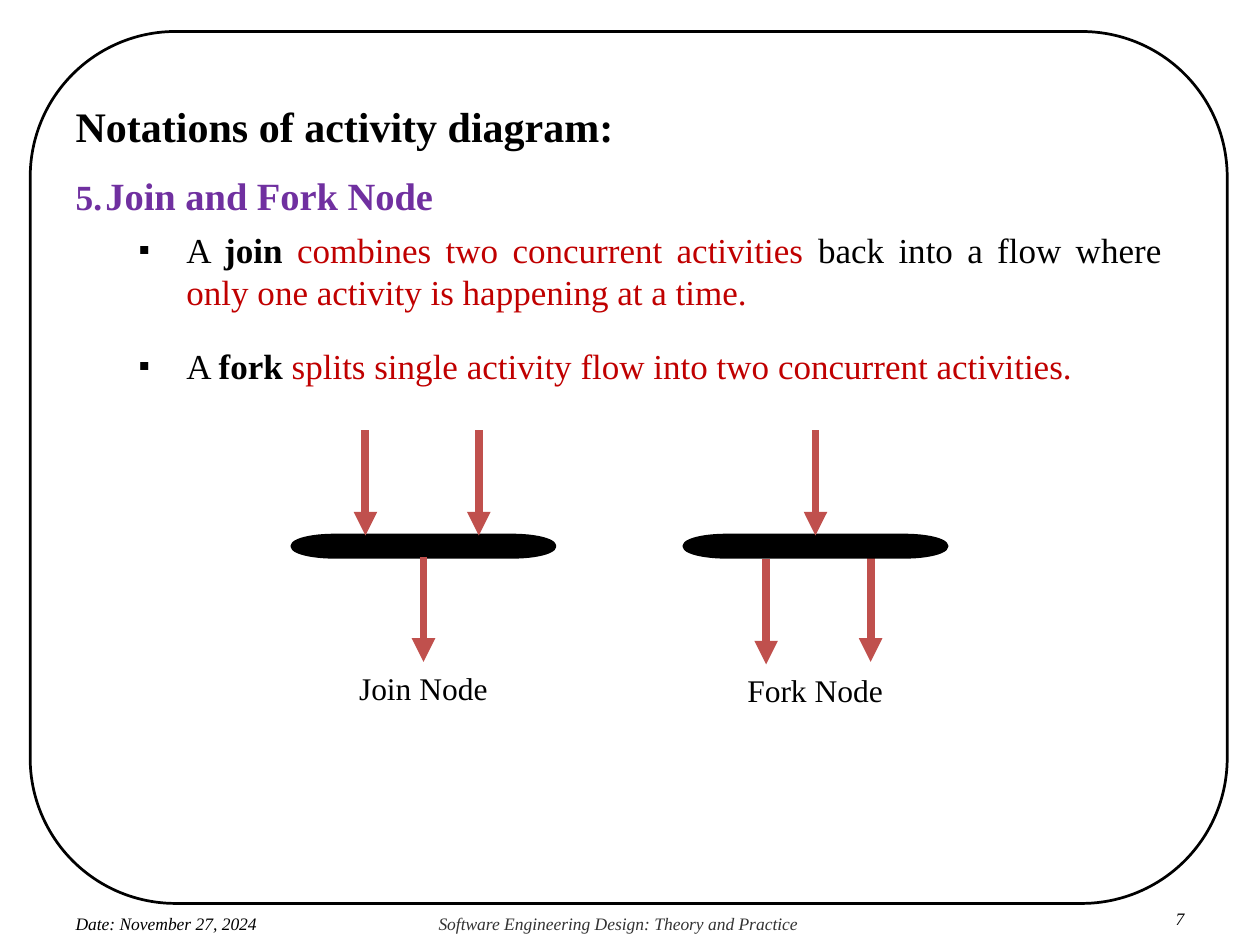
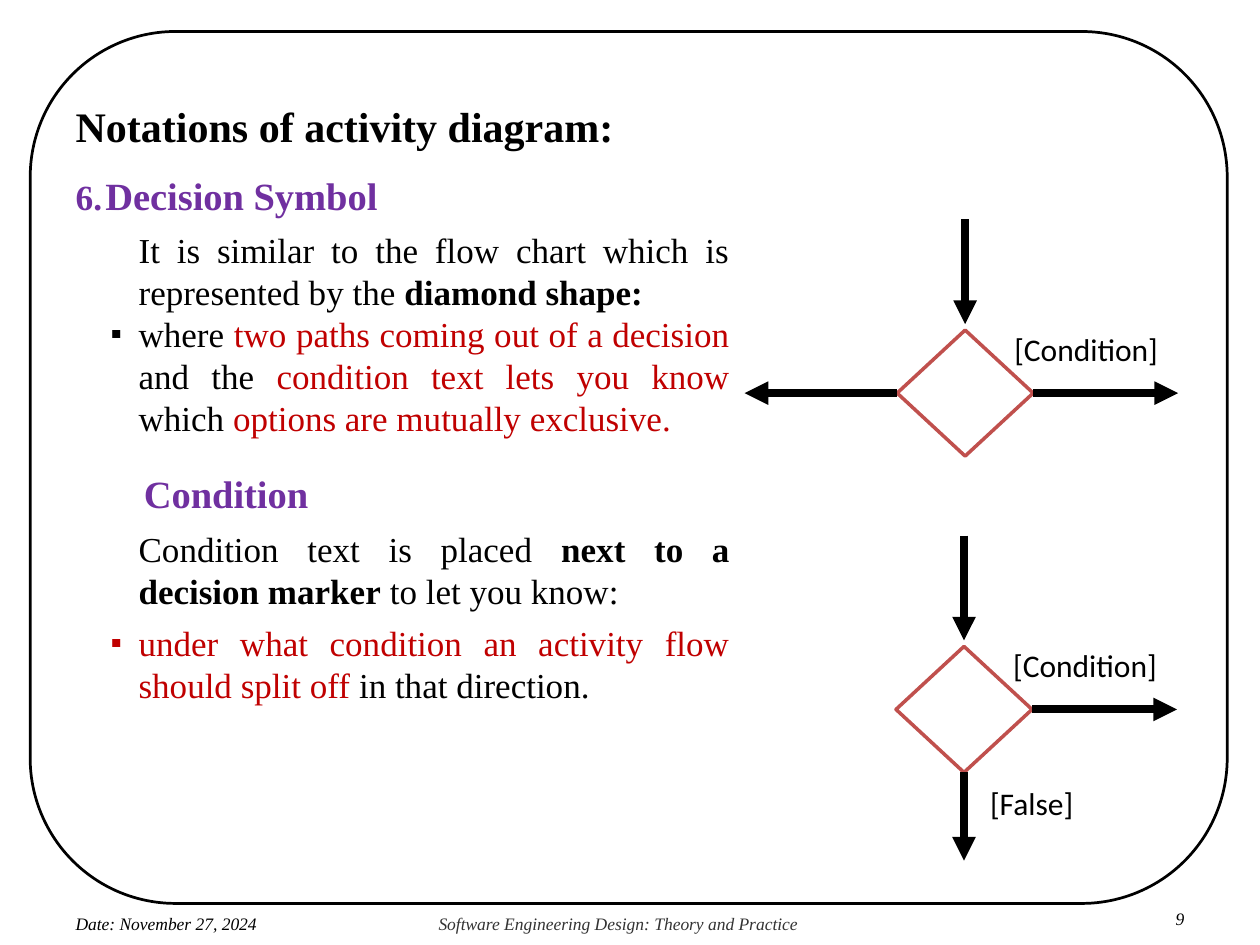
from lxml.etree import SubElement
from pptx import Presentation
from pptx.dml.color import RGBColor
from pptx.enum.shapes import MSO_CONNECTOR, MSO_SHAPE
from pptx.enum.text import MSO_ANCHOR, PP_ALIGN
from pptx.oxml.ns import qn
from pptx.util import Pt

BLACK, WHITE, GREY = "000000", "FFFFFF", "333333"
PURPLE, RED, BRICK = "7030A0", "C00000", "C0504D"
SERIF, SANS = "Times New Roman", "Calibri"
TOP, LEFT, BOTTOM, RIGHT = range(4)  # connection sites
ARROW_LENGTH = 60
BAR_TOP, BAR_WIDTH, BAR_HEIGHT = 306, 150, 12.24
DIAMOND_WIDTH, DIAMOND_HEIGHT = 77.76, 72


def colour(hex_string):
    return RGBColor.from_string(hex_string)


def set_font(font, size, hex_string=BLACK, name=SERIF, bold=False, italic=False):
    font.size, font.name = Pt(size), name
    font.bold, font.italic = bold, italic
    font.color.rgb = colour(hex_string)


# Shapes and arrows
def add_box(slide, preset, left, top, width, height, fill, line, line_width=2):
    shape = slide.shapes.add_shape(preset, Pt(left), Pt(top), Pt(width), Pt(height))
    shape.shadow.inherit = False
    if fill:
        shape.fill.solid()
        shape.fill.fore_color.rgb = colour(fill)
    else:
        shape.fill.background()
    shape.line.color.rgb = colour(line)
    shape.line.width = Pt(line_width)
    return shape


def add_label(slide, text, left, top, width, height, font=SANS, align=PP_ALIGN.CENTER):
    shape = add_box(slide, MSO_SHAPE.RECTANGLE, left, top, width, height, WHITE, WHITE)
    shape.text_frame.vertical_anchor = MSO_ANCHOR.MIDDLE
    paragraph = shape.text_frame.paragraphs[0]
    paragraph.text = text
    paragraph.alignment = align
    set_font(paragraph.font, 18, name=font)


def add_arrow(slide, start, end, hex_string, begin=None, finish=None):
    """Draw an arrow; begin and finish are optional (shape, site) pairs."""
    points = [Pt(value) for value in (*start, *end)]
    connector = slide.shapes.add_connector(MSO_CONNECTOR.STRAIGHT, *points)
    if begin:
        connector.begin_connect(*begin)
    if finish:
        connector.end_connect(*finish)
    connector.line.color.rgb = colour(hex_string)
    connector.line.width = Pt(4.5)
    SubElement(connector.line._get_or_add_ln(), qn("a:tailEnd"), type="triangle")
    SubElement(connector._element.spPr, qn("a:effectLst"))


def add_down_arrow(slide, x, top, hex_string, begin=None, finish=None):
    add_arrow(slide, (x, top), (x, top + ARROW_LENGTH), hex_string, begin, finish)


# Text
def add_text_frame(slide, left, top, width, height):
    box = slide.shapes.add_textbox(Pt(left), Pt(top), Pt(width), Pt(height))
    frame = box.text_frame
    frame.word_wrap = True
    frame.margin_left = frame.margin_top = frame.margin_right = frame.margin_bottom = 0
    return frame


def add_footer(slide, text, left, top, width, hex_string=BLACK):
    paragraph = add_text_frame(slide, left, top, width, 11.8).paragraphs[0]
    paragraph.text = text
    paragraph.line_spacing = Pt(11.8)
    set_font(paragraph.font, 10, hex_string, italic=True)


def add_bullet(paragraph, hex_string, number=None):
    properties = paragraph._p.get_or_add_pPr()
    bullet_colour = SubElement(properties, qn("a:buClr"))
    SubElement(bullet_colour, qn("a:srgbClr"), val=hex_string)
    SubElement(properties, qn("a:buSzPct"), val="92000")
    SubElement(properties, qn("a:buFont"), typeface=SERIF)
    if number:
        SubElement(properties, qn("a:buAutoNum"), type="arabicPeriod", startAt=str(number))
    else:
        SubElement(properties, qn("a:buChar"), char="▪")


def add_paragraph(frame, runs, size=20, hex_string=BLACK, bold=False, after=0,
                  margin=0, hang=0, bullet=None, number=None):
    """Add a justified paragraph; runs are (text, colour, bold) or a plain string."""
    first = frame.paragraphs[0]
    paragraph = frame.add_paragraph() if first.runs else first
    properties = paragraph._p.get_or_add_pPr()
    properties.set("marL", str(Pt(margin)))
    properties.set("indent", str(Pt(-hang)))
    paragraph.alignment = PP_ALIGN.JUSTIFY
    paragraph.line_spacing = Pt(1.2 * size)
    paragraph.space_after = Pt(after)
    if bullet:
        add_bullet(paragraph, bullet, number)
    set_font(paragraph.font, size, hex_string, bold=bold)
    if isinstance(runs, str):
        paragraph.add_run().text = runs
        return
    for text, run_colour, run_bold in runs:
        run = paragraph.add_run()
        run.text = text
        run.font.bold = run_bold
        run.font.color.rgb = colour(run_colour)


def add_topic_slide(presentation, page, number, topic, text_width):
    """Add frame, footers, title and numbered topic; return the body text frame."""
    slide = presentation.slides.add_slide(presentation.slide_layouts[6])
    add_box(slide, MSO_SHAPE.ROUNDED_RECTANGLE, 17.28, 18, 684, 498.24, None, BLACK, 1.56)
    add_footer(slide, page, 671.8, 519.1, 17)
    add_footer(slide, "Software Engineering Design: Theory and Practice",
               250.6, 522, 208, GREY)
    add_footer(slide, "Date: November 27, 2024", 43.2, 522, 114)
    frame = add_text_frame(slide, 43.2, 57.6, text_width, 415)
    add_paragraph(frame, "Notations of activity diagram:", 24, bold=True, after=12)
    add_paragraph(frame, topic, 22, PURPLE, True, 6, 17, 17, PURPLE, number)
    return slide, frame


# Diagrams
def add_bar(slide, left):
    return add_box(slide, MSO_SHAPE.FLOWCHART_TERMINATOR, left, BAR_TOP,
                   BAR_WIDTH, BAR_HEIGHT, BLACK, BLACK)


def add_decision(slide, left, top):
    """Add a diamond with its incoming arrow and its labelled arrow to the right."""
    middle = top + DIAMOND_HEIGHT / 2
    add_label(slide, "[Condition]", left + 51.1, top - 7.2, 113.8, 36)
    diamond = add_box(slide, MSO_SHAPE.FLOWCHART_DECISION, left, top,
                      DIAMOND_WIDTH, DIAMOND_HEIGHT, WHITE, BRICK)
    add_down_arrow(slide, left + DIAMOND_WIDTH / 2, top - 63.4, BLACK)
    add_arrow(slide, (left + DIAMOND_WIDTH, middle), (left + 160.6, middle), BLACK,
              begin=(diamond, RIGHT))
    return diamond


def build_join_and_fork(presentation):
    slide, frame = add_topic_slide(presentation, "7", 5, "Join and Fork Node", 620.6)
    bullet_style = dict(after=18, margin=63.36, hang=27.36, bullet=BLACK)
    add_paragraph(frame, [
        ("A ", BLACK, False), ("join ", BLACK, True),
        ("combines two concurrent activities ", RED, False),
        ("back into a flow where ", BLACK, False),
        ("only one activity is happening at a time.", RED, False)], **bullet_style)
    add_paragraph(frame, [
        ("A ", BLACK, False), ("fork ", BLACK, True),
        ("splits single activity flow into two concurrent activities.", RED, False)],
        **bullet_style)

    arrow_top = BAR_TOP - ARROW_LENGTH
    bar_bottom = BAR_TOP + BAR_HEIGHT

    # Join: two arrows in, one out
    join_left = 167
    join_bar = add_bar(slide, join_left)
    for x in (208.8, 273.6):
        add_down_arrow(slide, x, arrow_top, BRICK)
    add_down_arrow(slide, join_left + BAR_WIDTH / 2, bar_bottom, BRICK,
                   begin=(join_bar, BOTTOM))
    add_label(slide, "Join Node", 151.9, 380.2, 180, 26, SERIF)

    # Fork: one arrow in, two out
    fork_left = 391
    for x, top in ((437.8, 319.7), (497.5, bar_bottom)):
        add_down_arrow(slide, x, top, BRICK)
    fork_bar = add_bar(slide, fork_left)
    add_down_arrow(slide, fork_left + BAR_WIDTH / 2, arrow_top, BRICK,
                   finish=(fork_bar, TOP))
    add_label(slide, "Fork Node", 375.8, 381, 180, 26.6, SERIF)


def build_decision(presentation):
    slide, frame = add_topic_slide(presentation, "9", 6, "Decision Symbol", 373.7)
    bullet_style = dict(margin=36, hang=16)
    add_paragraph(frame, [
        ("It is similar to the flow chart which is represented by the ", BLACK, False),
        ("diamond shape:", BLACK, True)], margin=36)
    add_paragraph(frame, [
        ("where ", BLACK, False), ("two paths coming out of a decision ", RED, False),
        ("and the ", BLACK, False), ("condition text lets you know ", RED, False),
        ("which ", BLACK, False), ("options are mutually exclusive.", RED, False)],
        after=18, bullet=BLACK, **bullet_style)
    add_paragraph(frame, "Condition", 22, PURPLE, True, after=6, margin=39)
    add_paragraph(frame, [
        ("Condition text is placed ", BLACK, False),
        ("next to a decision marker", BLACK, True),
        (" to let you know:", BLACK, False)], after=6, margin=36)
    add_paragraph(frame, [
        ("under what condition an activity flow should split off", RED, False),
        (" in that direction.", BLACK, False)], after=6, bullet=RED, **bullet_style)

    # Decision with exits left and right
    left, top = 512.64, 188.64
    diamond = add_decision(slide, left, top)
    middle = top + DIAMOND_HEIGHT / 2
    add_arrow(slide, (left, middle), (425.5, middle), BLACK, begin=(diamond, LEFT))

    # Decision with exits right and down
    left, top = 512, 369.4
    diamond = add_decision(slide, left, top)
    centre, bottom = left + DIAMOND_WIDTH / 2, top + DIAMOND_HEIGHT
    add_arrow(slide, (centre, bottom), (centre, 491.8), BLACK, begin=(diamond, BOTTOM))
    add_label(slide, "[False]", 558.7, 440.6, 69.8, 36, align=PP_ALIGN.LEFT)


def main():
    presentation = Presentation()
    presentation.slide_width, presentation.slide_height = Pt(720), Pt(540)
    build_join_and_fork(presentation)
    build_decision(presentation)
    presentation.save("out.pptx")


if __name__ == "__main__":
    main()
